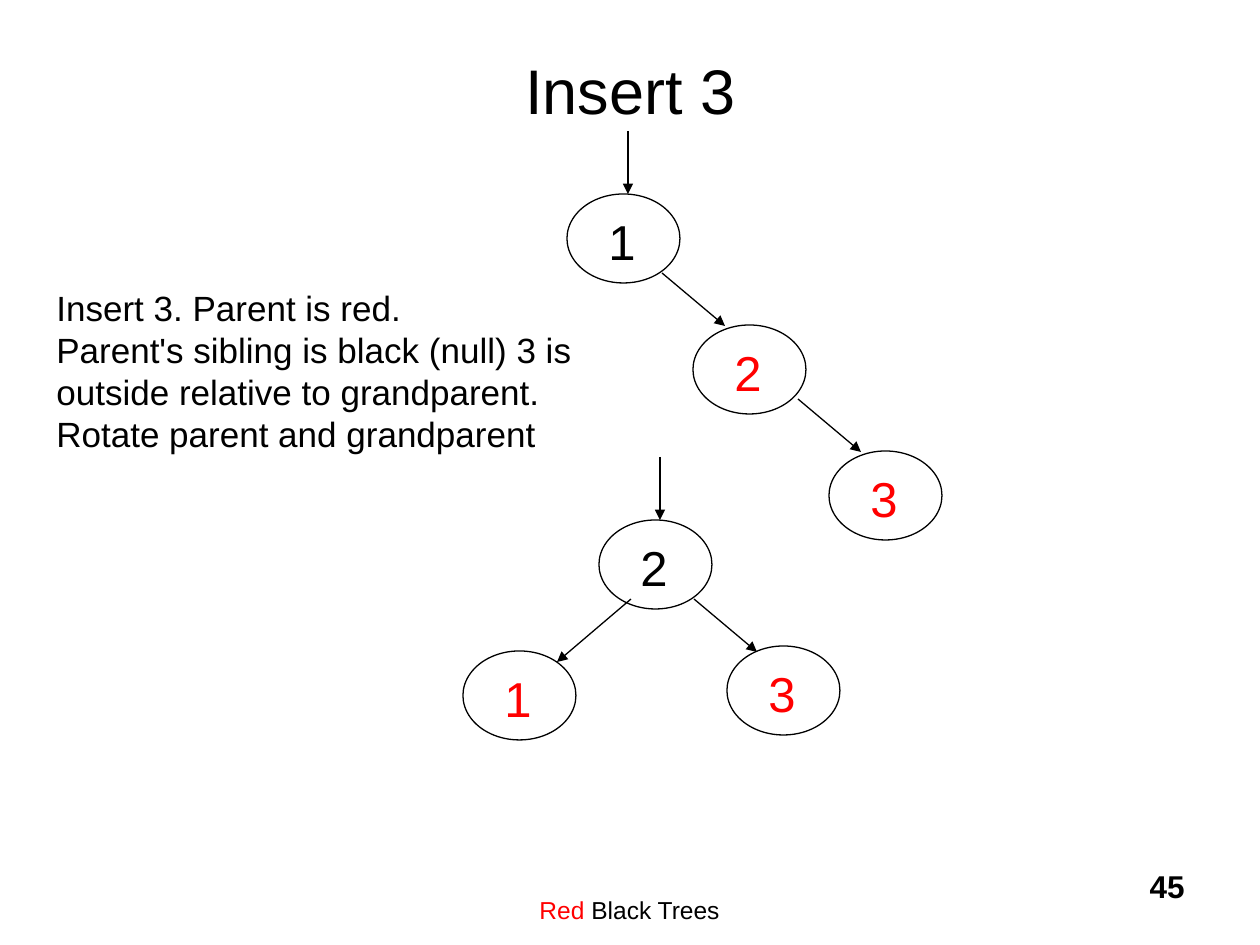
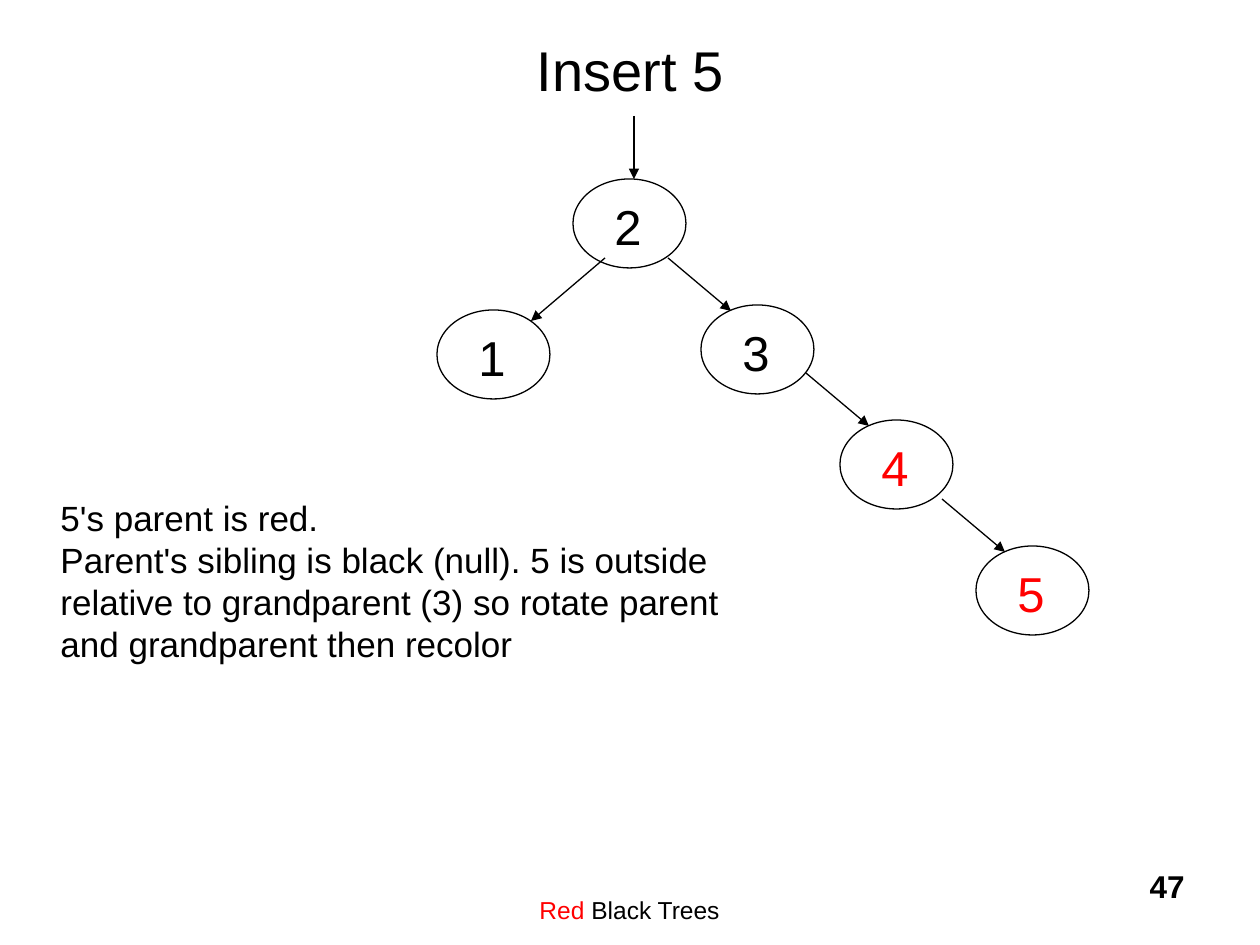
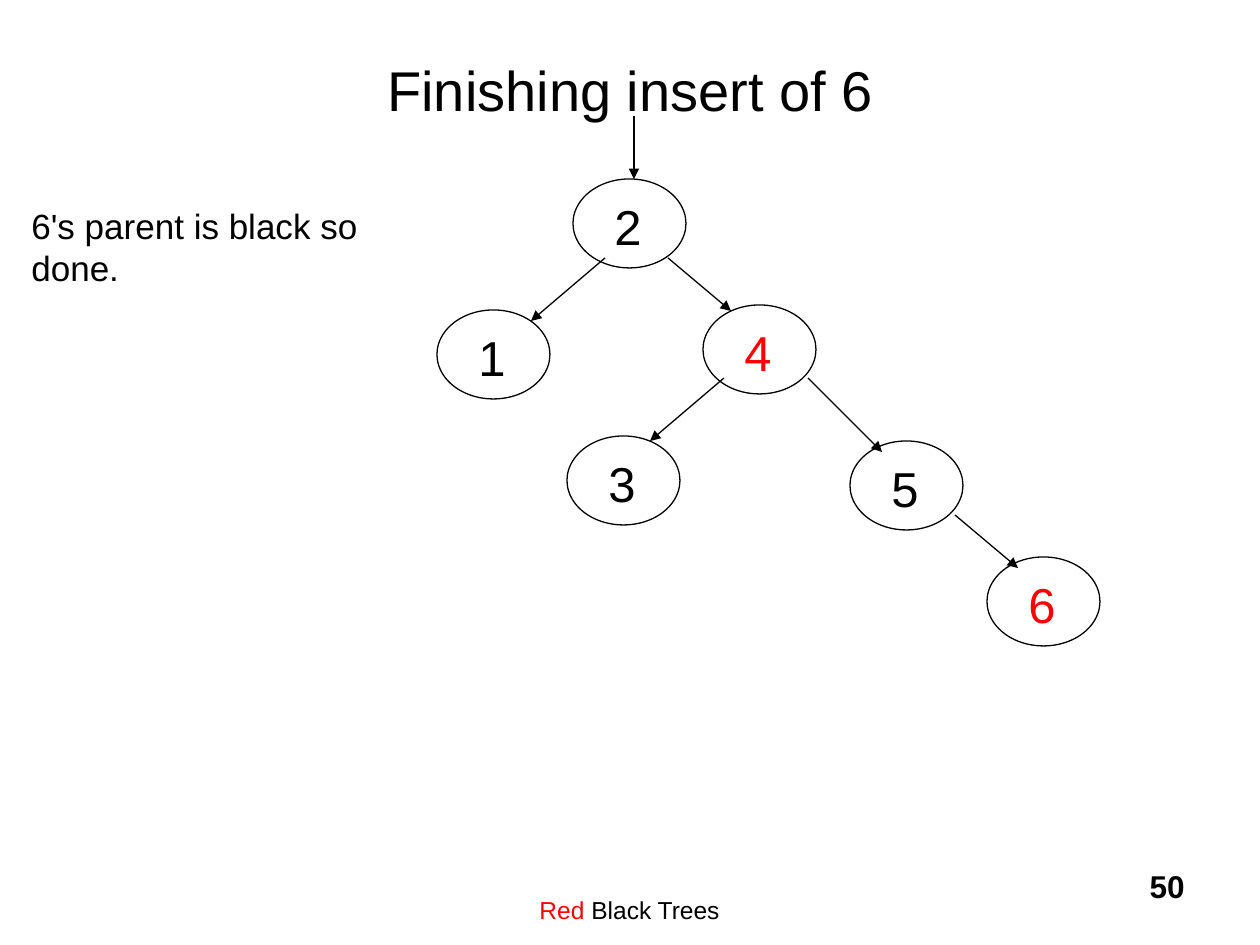
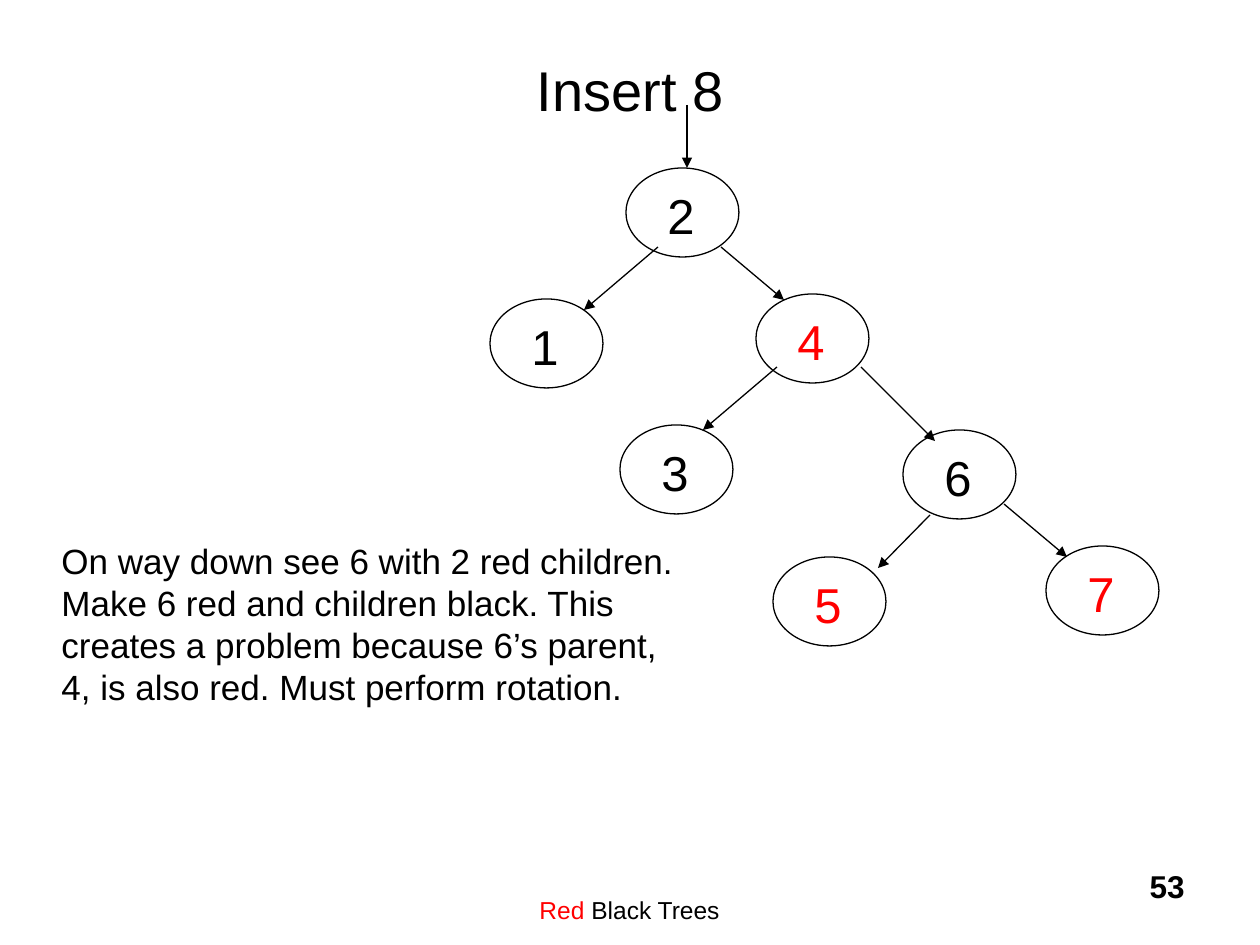
import pptx
import pptx.dml.color
import pptx.enum.shapes
import pptx.enum.text
import pptx.oxml.ns
import pptx.util
from lxml import etree

ALIGN = pptx.enum.text.PP_ALIGN
ANCHOR = pptx.enum.text.MSO_ANCHOR
FONT = "Arial"
BLACK, RED = "000000", "FF0000"
EMU_PER_PX = 914400 / 126
NODE_WIDTH, NODE_HEIGHT = 113, 89

RIGHT, LEFT = (63, 53), (-74, 63)
STEEP_RIGHT, STEEP_LEFT = (74, 74), (-52, 53)
ROOT_RIGHT, ROOT_LEFT = (95, 79, RIGHT), (32, 79, LEFT)

CHAIN_NODES = [("1", 0, 0, BLACK), ("2", 126, 131, RED), ("3", 262, 257, RED)]
CHAIN_EDGES = [ROOT_RIGHT, (231, 205, RIGHT)]
ROTATED_NODES = [("2", 0, 0, BLACK), ("1", -136, 131, RED), ("3", 128, 126, RED)]
ROTATED_EDGES = [ROOT_RIGHT, ROOT_LEFT]
FIVE_NODES = [("2", 0, 0, BLACK), ("1", -136, 131, BLACK), ("3", 128, 126, BLACK),
              ("4", 267, 241, RED), ("5", 403, 367, RED)]
FIVE_EDGES = [ROOT_RIGHT, ROOT_LEFT, (233, 194, RIGHT), (369, 320, RIGHT)]
UPPER_NODES = [("2", 0, 0, BLACK), ("1", -136, 131, BLACK), ("4", 130, 126, RED),
               ("3", -6, 257, BLACK)]
UPPER_EDGES = [ROOT_RIGHT, ROOT_LEFT, (235, 199, STEEP_RIGHT), (151, 199, LEFT)]
SIX_NODES = UPPER_NODES + [("5", 277, 262, BLACK), ("6", 414, 378, RED)]
SIX_EDGES = UPPER_EDGES + [(382, 336, RIGHT)]
SEVEN_NODES = UPPER_NODES + [("6", 277, 262, BLACK), ("5", 147, 389, RED), ("7", 420, 378, RED)]
SEVEN_EDGES = UPPER_EDGES + [(304, 347, STEEP_LEFT), (378, 336, RIGHT)]


def px(*lengths):
    """Turn pixel lengths into EMU."""
    return [pptx.util.Emu(round(length * EMU_PER_PX)) for length in lengths]


def color(value):
    """Return the colour of a hex string."""
    return pptx.dml.color.RGBColor.from_string(value)


def add_span(para, text, size, ink=BLACK, bold=False):
    """Add one formatted run to a paragraph."""
    span = para.add_run()
    span.text = text
    span.font.name = FONT
    span.font.size = pptx.util.Pt(size)
    span.font.bold = bold
    span.font.color.rgb = color(ink)


def add_box(shapes, left, top, width, height, align=ALIGN.LEFT, wrap=True):
    """Add an empty text box and return its frame."""
    frame = shapes.add_textbox(*px(left, top, width, height)).text_frame
    frame.word_wrap = wrap
    frame.paragraphs[0].alignment = align
    return frame


def add_page(deck, title, size, number, title_top=10):
    """Add a page with its title, footer and page number."""
    page = deck.slides.add_slide(deck.slide_layouts[5])
    holder = page.shapes.title
    holder.left, holder.top, holder.width, holder.height = px(95, title_top, 1071, 158)
    holder.text_frame.vertical_anchor = ANCHOR.MIDDLE
    holder.text_frame.paragraphs[0].alignment = ALIGN.CENTER
    add_span(holder.text_frame.paragraphs[0], title, size)
    footer = add_box(page.shapes, 388, 861, 483, 63, ALIGN.CENTER)
    footer.margin_top = px(34)[0]
    add_span(footer.paragraphs[0], "Red", 14, RED)
    add_span(footer.paragraphs[0], " Black Trees", 14)
    corner = add_box(page.shapes, 935, 861, 262, 63, ALIGN.RIGHT)
    add_span(corner.paragraphs[0], number, 18, bold=True)
    return page


def add_note(page, left, top, width, height, lines):
    """Add an explanation with line breaks between its lines."""
    para = add_box(page.shapes, left, top, width, height).paragraphs[0]
    for index, line in enumerate(lines):
        if index:
            para.add_line_break()
        add_span(para, line, 20)


def add_node(page, label, left, top, ink):
    """Add an outlined ellipse grouped with its label."""
    group = page.shapes.add_group_shape()
    oval = group.shapes.add_shape(
        pptx.enum.shapes.MSO_SHAPE.OVAL, *px(left, top, NODE_WIDTH, NODE_HEIGHT))
    oval.shadow.inherit = False
    oval.fill.background()
    oval.line.color.rgb = color(BLACK)
    oval.line.width = pptx.util.Pt(0.75)
    frame = add_box(group.shapes, left + 29, top + 11, 53, 71, wrap=False)
    add_span(frame.paragraphs[0], label, 28, ink)


def add_arrow(page, left, top, run):
    """Add an arrow from a point along a run."""
    arrow = page.shapes.add_connector(
        pptx.enum.shapes.MSO_CONNECTOR.STRAIGHT,
        *px(left, top, left + run[0], top + run[1]))
    arrow.line.color.rgb = color(BLACK)
    arrow.line.width = pptx.util.Pt(0.75)
    qualified = pptx.oxml.ns.qn
    etree.SubElement(arrow.line._get_or_add_ln(), qualified("a:tailEnd"), type="triangle")
    etree.SubElement(arrow._element.spPr, qualified("a:effectLst"))


def add_tree(page, left, top, nodes, edges):
    """Draw a tree whose parts are placed relative to its root."""
    for label, across, down, ink in nodes:
        add_node(page, label, left + across, top + down, ink)
    for across, down, run in [(61, -63, (0, 63))] + edges:
        add_arrow(page, left + across, top + down, run)


def main():
    """Build the four pages and save the deck."""
    deck = pptx.Presentation()
    deck.slide_width, deck.slide_height = px(1260, 945)

    page = add_page(deck, "Insert 3", 36, "45")
    add_tree(page, 567, 194, CHAIN_NODES, CHAIN_EDGES)
    add_tree(page, 599, 520, ROTATED_NODES, ROTATED_EDGES)
    add_note(page, 44, 280, 544, 183, [
        "Insert 3. Parent is red. ",
        "Parent's sibling is black (null) 3 is outside relative to grandparent. "
        "Rotate parent and grandparent"])

    page = add_page(deck, "Insert 5", 32, "47", title_top=-10)
    add_tree(page, 573, 179, FIVE_NODES, FIVE_EDGES)
    add_note(page, 48, 490, 709, 183, [
        "5's parent is red.",
        "Parent's sibling is black (null). 5 is outside relative to grandparent (3) "
        "so rotate parent and grandparent then recolor"])

    page = add_page(deck, "Finishing insert of 6", 32, "50")
    add_tree(page, 573, 179, SIX_NODES, SIX_EDGES)
    add_note(page, 19, 198, 426, 97, ["6's parent is black so done."])

    page = add_page(deck, "Insert 8", 32, "53")
    add_tree(page, 626, 168, SEVEN_NODES, SEVEN_EDGES)
    add_note(page, 49, 533, 638, 183, [
        "On way down see 6 with 2 red children.",
        "Make 6 red and children black. This",
        "creates a problem because 6’s parent, 4, is also red. Must perform rotation."])

    deck.save("out.pptx")


if __name__ == "__main__":
    main()
